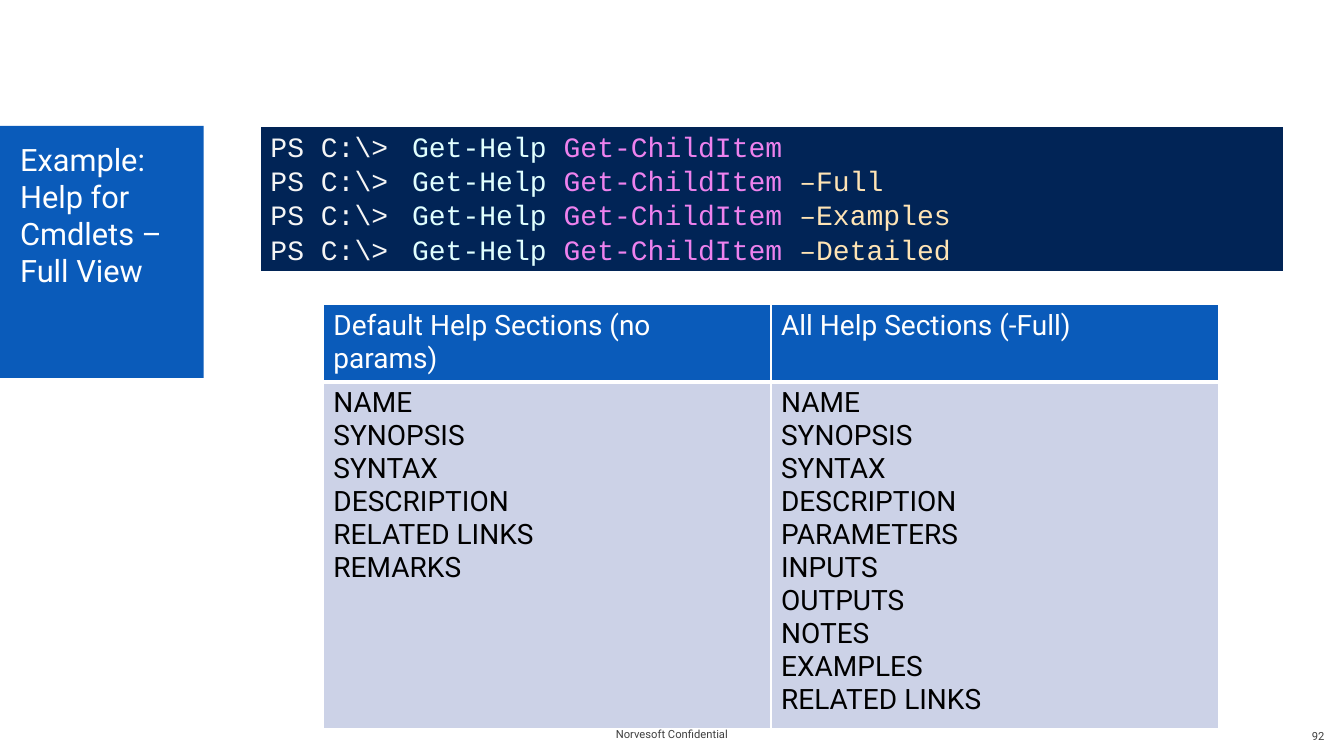
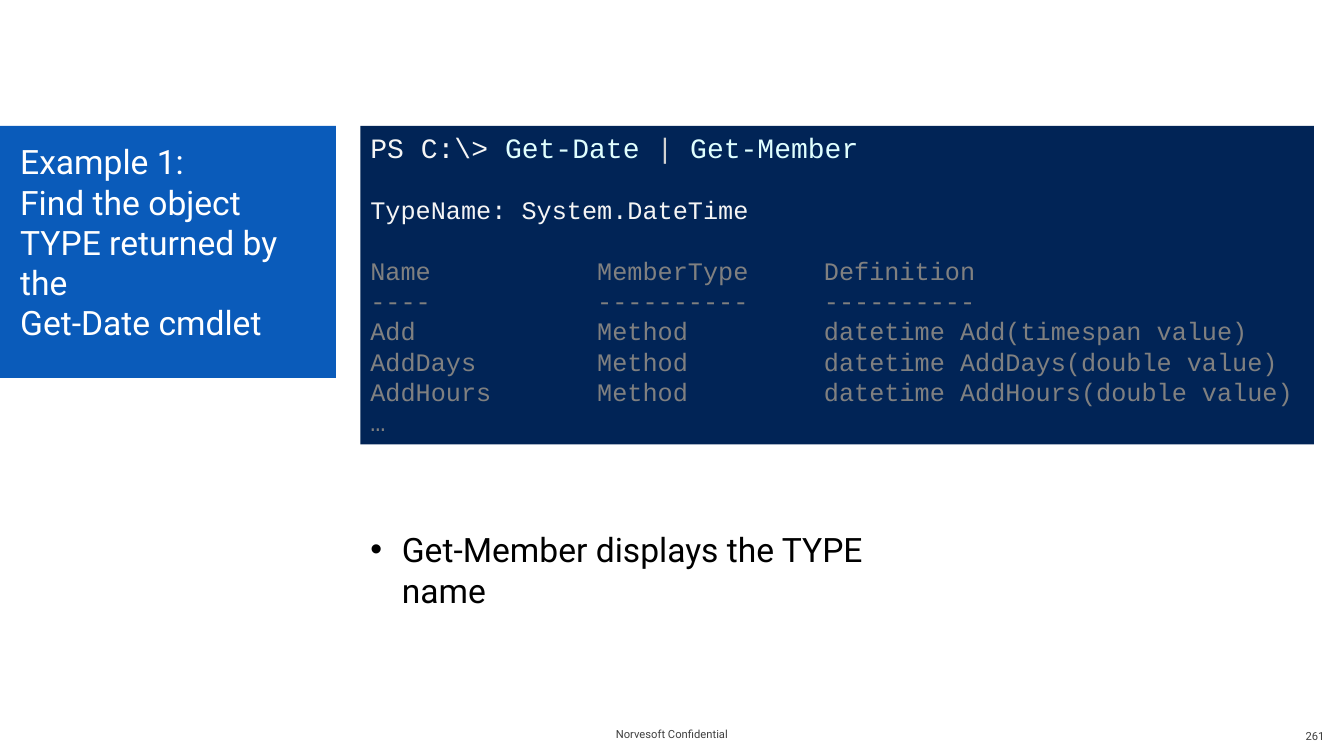
"""Build two command-line training slides with a shared title band and footer."""
import pptx
import pptx.dml.color
import pptx.enum.shapes
import pptx.enum.text
import pptx.oxml
import pptx.util
from lxml import etree

Pt = pptx.util.Pt
ALIGN = pptx.enum.text.PP_ALIGN
ANCHOR = pptx.enum.text.MSO_ANCHOR
DRAWING = "http://schemas.openxmlformats.org/drawingml/2006/main"

BODY_FONT, CODE_FONT, BULLET_FONT = "Roboto", "Courier New", "Arial"
BLUE, NAVY, PALE = "0A5BBA", "012456", "CCD2E7"
WHITE, BLACK, FOOTER_GREY = "FFFFFF", "000000", "3F3F3F"
PROMPT, CMDLET, ARGUMENT, SWITCH = "F5F5F5", "E0FFFF", "EE82EE", "FFE4B5"
PIPE, OUTPUT = "D3D3D3", "808080"

FOOTER = "Norvesoft Confidential"
BAND_TOP, BAND_HEIGHT = 90, 180
CODE_CHAR = 10.8
OUTPUT_LINE = 21.6

HELP_TITLE = "Example:\vHelp for Cmdlets – Full View"
HELP_SWITCHES = ["", "–Full", "–Examples", "–Detailed"]
HELP_SECTIONS = {
    "Default Help Sections (no params)": [
        "NAME", "SYNOPSIS", "SYNTAX", "DESCRIPTION", "RELATED LINKS", "REMARKS"],
    "All Help Sections (-Full)": [
        "NAME", "SYNOPSIS", "SYNTAX", "DESCRIPTION", "PARAMETERS", "INPUTS",
        "OUTPUTS", "NOTES", "EXAMPLES", "RELATED LINKS"],
}

MEMBER_TITLE = "Example 1:\vFind the object TYPE returned by the\vGet-Date cmdlet"
MEMBER_COMMAND = [("PS C:\\> ", PROMPT), ("Get-Date ", CMDLET),
                  ("| ", PIPE), ("Get-Member", CMDLET)]
TYPE_NAME = "TypeName: System.DateTime"
MEMBER_ROWS = [
    ("Name", "MemberType", "Definition"),
    ("----", "----------", "----------"),
    ("Add", "Method", "datetime Add(timespan value)"),
    ("AddDays", "Method", "datetime AddDays(double value)"),
    ("AddHours", "Method", "datetime AddHours(double value)"),
    ("…",),
]
MEMBER_NOTE = "Get-Member displays the TYPE name"


def rgb(value):
    """Turn a hex string into a colour."""
    return pptx.dml.color.RGBColor.from_string(value)


def style(paragraph, size, color=None, font=BODY_FONT):
    """Set the font of a whole paragraph."""
    paragraph.font.size = Pt(size)
    paragraph.font.name = font
    paragraph.font.bold = False
    if color:
        paragraph.font.color.rgb = rgb(color)


def paragraphs(frame, count):
    """Return the first paragraph of a frame and as many new ones as needed."""
    return [frame.paragraphs[0]] + [frame.add_paragraph() for _ in range(count - 1)]


def add_runs(paragraph, runs):
    """Add coloured runs, each with an optional font of its own."""
    for text, color, *font in runs:
        run = paragraph.add_run()
        run.text = text
        run.font.color.rgb = rgb(color)
        if font:
            run.font.name = font[0]


def set_margins(frame, left, top, right, bottom):
    """Set the insets of a text frame."""
    frame.margin_left, frame.margin_top = Pt(left), Pt(top)
    frame.margin_right, frame.margin_bottom = Pt(right), Pt(bottom)


def add_text(slide, box):
    """Add a wrapping text box and return its frame."""
    frame = slide.shapes.add_textbox(*map(Pt, box)).text_frame
    frame.word_wrap = True
    return frame


def add_panel(slide, box, color):
    """Add a plain filled rectangle and return its frame."""
    panel = slide.shapes.add_shape(
        pptx.enum.shapes.MSO_SHAPE.RECTANGLE, *map(Pt, box))
    panel.shadow.inherit = False
    panel.fill.solid()
    panel.fill.fore_color.rgb = rgb(color)
    panel.line.fill.background()
    frame = panel.text_frame
    frame.word_wrap = True
    frame.vertical_anchor = ANCHOR.TOP
    return frame


def add_footer(slide, text, left, top, align):
    """Add one small footer text."""
    frame = add_text(slide, (left, top, 224, 28.8))
    set_margins(frame, 14.4, 3.6, 14.4, 3.6)
    frame.vertical_anchor = ANCHOR.MIDDLE
    line = frame.paragraphs[0]
    line.text = text
    line.alignment = align
    style(line, 8, FOOTER_GREY)


def add_slide(deck, title, band_width, title_size, number):
    """Add a slide with its title band, footer and number."""
    slide = deck.slides.add_slide(deck.slide_layouts[6])
    add_footer(slide, FOOTER, 368, 510, ALIGN.CENTER)
    frame = add_panel(slide, (0, BAND_TOP, band_width, BAND_HEIGHT), BLUE)
    set_margins(frame, 14.4, 10.8, 7.2, 3.6)
    heading = frame.paragraphs[0]
    heading.text = title
    heading.alignment = ALIGN.LEFT
    style(heading, title_size, WHITE)
    add_footer(slide, number, 736.5, 511, ALIGN.RIGHT)
    return slide


def add_grid(slide, box, row_heights, columns):
    """Add a table with equal columns."""
    box = (*box, sum(row_heights))
    grid = slide.shapes.add_table(len(row_heights), columns, *map(Pt, box)).table
    for row, height in zip(grid.rows, row_heights):
        row.height = Pt(height)
    return grid


def paint_cell(cell, color, bottom_width):
    """Give a cell white borders and a solid fill."""
    properties = cell._tc.get_or_add_tcPr()
    for side, width in zip("LRTB", (1, 1, 1, bottom_width)):
        properties.append(pptx.oxml.parse_xml(
            f'<a:ln{side} xmlns:a="{DRAWING}" w="{Pt(width)}"><a:solidFill>'
            f'<a:srgbClr val="{WHITE}"/></a:solidFill></a:ln{side}>'))
    cell.fill.solid()
    cell.fill.fore_color.rgb = rgb(color)


def add_tab_stops(paragraph, positions):
    """Add left tab stops to a paragraph."""
    stops = etree.SubElement(paragraph._p.get_or_add_pPr(), f"{{{DRAWING}}}tabLst")
    for position in positions:
        etree.SubElement(stops, f"{{{DRAWING}}}tab", pos=str(Pt(position)), algn="l")


def add_bullet(paragraph, indent):
    """Give a paragraph a hanging bullet."""
    properties = paragraph._p.get_or_add_pPr()
    properties.set("marL", str(Pt(indent)))
    properties.set("indent", str(-Pt(indent)))
    etree.SubElement(properties, f"{{{DRAWING}}}buFont", typeface=BULLET_FONT)
    etree.SubElement(properties, f"{{{DRAWING}}}buChar", char="•")


def build_help(deck):
    """Build the slide on help views."""
    slide = add_slide(deck, HELP_TITLE, 145.5, 22, "92")
    console = add_grid(slide, (186, BAND_TOP, 731), [105], 1).cell(0, 0)
    paint_cell(console, NAVY, 3)
    lines = paragraphs(console.text_frame, len(HELP_SWITCHES))
    for line, switch in zip(lines, HELP_SWITCHES):
        style(line, 20, font=CODE_FONT)
        runs = [("PS C:\\> ", PROMPT, CODE_FONT), (" ", PROMPT, BODY_FONT),
                ("Get-Help ", CMDLET, CODE_FONT),
                ("Get-ChildItem " if switch else "Get-ChildItem", ARGUMENT, CODE_FONT)]
        if switch:
            runs.append((switch, SWITCH, CODE_FONT))
        add_runs(line, runs)

    sections = add_grid(slide, (231, 217.5, 639.5), [53.5, 243 - 6], len(HELP_SECTIONS))
    for column, (heading, names) in enumerate(HELP_SECTIONS.items()):
        parts = [([heading], BLUE, WHITE, 3), (names, PALE, BLACK, 1)]
        for row, (texts, fill, color, bottom_width) in enumerate(parts):
            cell = sections.cell(row, column)
            paint_cell(cell, fill, bottom_width)
            for line, text in zip(paragraphs(cell.text_frame, len(texts)), texts):
                line.text = text
                style(line, 20, color)


def build_member(deck):
    """Build the slide on finding an object type."""
    slide = add_slide(deck, MEMBER_TITLE, 240, 24, "261")
    frame = add_panel(slide, (257.5, BAND_TOP, 681, 227.5), NAVY)
    command, type_line, *rows = paragraphs(frame, 2 + len(MEMBER_ROWS))
    for line in (command, type_line, *rows):
        line.alignment = ALIGN.LEFT
    style(command, 20, font=CODE_FONT)
    add_runs(command, MEMBER_COMMAND)
    type_line.text = TYPE_NAME
    style(type_line, 18, PROMPT, CODE_FONT)
    for line, values in zip(rows, MEMBER_ROWS):
        line.text = "\t".join(values)
        add_tab_stops(line, [15 * CODE_CHAR, 30 * CODE_CHAR])
        style(line, 18, OUTPUT, CODE_FONT)
    for line in (type_line, rows[0]):
        line.space_before = Pt(OUTPUT_LINE)

    note = add_text(slide, (257.5, 374.5, 415.5, 36)).paragraphs[0]
    note.text = MEMBER_NOTE
    add_bullet(note, 22.5)
    style(note, 24, BLACK)


def main():
    """Build and save the deck."""
    deck = pptx.Presentation()
    deck.slide_width, deck.slide_height = Pt(960), Pt(540)
    build_help(deck)
    build_member(deck)
    deck.save("out.pptx")


if __name__ == "__main__":
    main()
